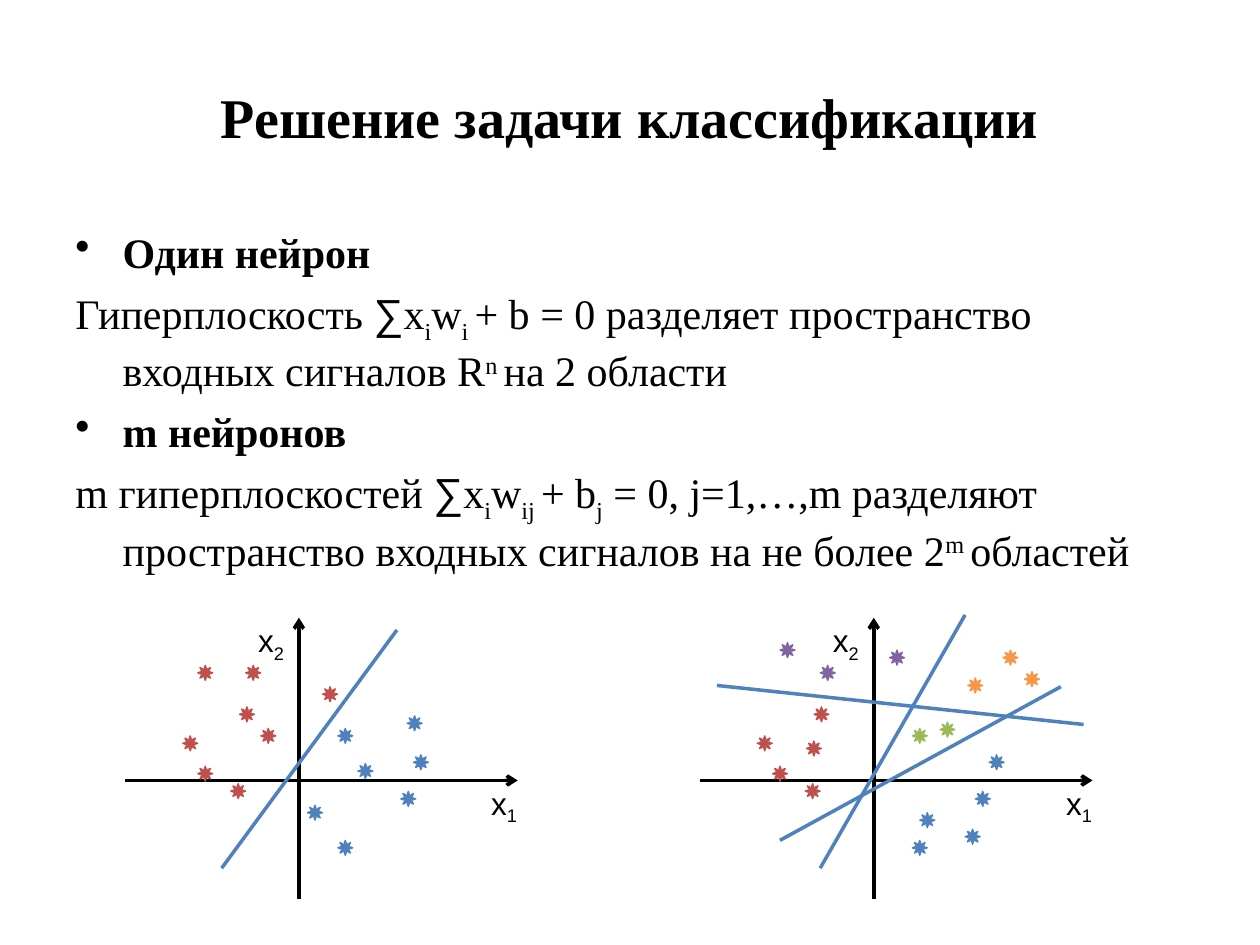
from dataclasses import dataclass

from lxml.etree import SubElement as Sub
from pptx import Presentation
from pptx.dml.color import RGBColor as Rgb
from pptx.enum.shapes import MSO_CONNECTOR as Link, MSO_SHAPE as Form
from pptx.enum.text import MSO_ANCHOR as Anchor, PP_ALIGN as Align
from pptx.oxml.ns import qn
from pptx.util import Pt


@dataclass(frozen=True)
class Theme:
    """Colours, fonts and type sizes."""
    ink: str = "000000"
    red: str = "C0504D"
    blue: str = "4F81BD"
    green: str = "9BBB59"
    violet: str = "8064A2"
    orange: str = "F79646"
    serif: str = "Times New Roman"
    sans: str = "Arial"
    title: int = 32
    body: int = 24
    label: int = 18


T = Theme()
SUB, SUP = -25000, 30000
STAR = 8.6
BASE = 446

BODY = [
    [("Один нейрон", 0)],
    [("Гиперплоскость ", 0), ("∑", 0), ("x", 0), ("i", SUB), ("w", 0),
     ("i ", SUB), ("+ b = 0 разделяет пространство входных сигналов R", 0),
     ("n ", SUP), ("на 2 области", 0)],
    [("m нейронов", 0)],
    [("m гиперплоскостей ", 0), ("∑", 0), ("x", 0), ("i", SUB), ("w", 0),
     ("ij ", SUB), ("+ b", 0), ("j", SUB),
     (" = 0, j=1,…,m разделяют пространство входных сигналов "
      "на не более 2", 0), ("m ", SUP), ("областей", 0)],
]

ONE = {
    T.red: [(-57.8, -65.8), (-57.8, -8.2), (-30.4, -65.8), (-66.4, -25.5),
            (-39, 1.8), (13.5, -53.6), (-34, -42.1), (-21.8, -29.8)],
    T.blue: [(22.2, -29.8), (33.7, -9.7), (65.4, -14.7), (58.2, 6.2),
             (4.9, 14.1), (61.8, -37), (22.2, 34.2)],
}
MANY = {
    T.violet: [(-53.6, -78.8), (-30.6, -65.8), (9, -74.5)],
    T.red: [(-57.9, -8.2), (-66.6, -25.5), (-39.2, 1.8), (-34.2, -42.1),
            (-38.5, -22.6)],
    T.blue: [(52.2, 27.8), (65.9, -14.7), (58, 6.2), (26.3, 18.4),
             (22, 34.2)],
    T.orange: [(73.8, -74.5), (86.1, -62.2), (53.7, -58.6)],
    T.green: [(22, -29.8), (37.8, -33.4)],
}
CUT = [((56, -86), (-44.1, 50.1))]
CUTS = [((52.2, -94.6), (-30.6, 50.1)), ((119.9, -32), (-89.6, -54.3)),
        ((106.9, -53.6), (-53.6, 34.2))]


def style(font, size, face, bold=False):
    """Set the look of black text."""
    font.size, font.name, font.bold = Pt(size), face, bold
    font.color.rgb = Rgb.from_string(T.ink)


def write(para, parts, size, face, bold=False):
    """Fill a paragraph with runs, some raised or lowered."""
    for text, shift in parts:
        run = para.add_run()
        run.text = text
        style(run.font, size, T.sans if text == "∑" else face, bold)
        if shift:
            run._r.get_or_add_rPr().set("baseline", str(shift))


def add_box(shapes, left, top, width, height, wrap=True):
    """Add a text box and return its frame."""
    box = shapes.add_textbox(Pt(left), Pt(top), Pt(width), Pt(height))
    box.text_frame.word_wrap = wrap
    return box.text_frame


def add_title(shapes):
    """Add the centred heading."""
    frame = add_box(shapes, 36, 21.6, 648, 90)
    frame.vertical_anchor = Anchor.MIDDLE
    para = frame.paragraphs[0]
    para.text = "Решение задачи классификации"
    para.alignment = Align.CENTER
    style(para.runs[0].font, T.title, T.serif, True)


def add_body(shapes):
    """Add the bulleted heads, each with its statement."""
    frame = add_box(shapes, 36, 126, 648, 219)
    for num, parts in enumerate(BODY):
        para = frame.add_paragraph() if num else frame.paragraphs[0]
        head = num % 2 == 0
        props = para._p.get_or_add_pPr()
        props.set("marL", str(Pt(27)))
        props.set("indent", str(Pt(-27)))
        if head:
            Sub(props, qn("a:buChar"), char="•")
        if num:
            para.space_before = Pt(6)
        write(para, parts, T.body, T.serif, head)


def add_line(shapes, start, end, tint, arrow=False):
    """Add a straight line, with an arrowhead at its end if asked."""
    ends = [Pt(val) for val in (*start, *end)]
    line = shapes.add_connector(Link.STRAIGHT, *ends)
    line.line.width = Pt(2)
    line.line.color.rgb = Rgb.from_string(tint)
    if arrow:
        Sub(line.line._get_or_add_ln(), qn("a:tailEnd"), type="arrow")
    Sub(line._element.spPr, qn("a:effectLst"))


def add_star(shapes, left, top, tint):
    """Add one data point."""
    star = shapes.add_shape(Form.SUN, Pt(left), Pt(top), Pt(STAR), Pt(STAR))
    star.shadow.inherit = False
    star.fill.solid()
    star.fill.fore_color.rgb = Rgb.from_string(tint)
    star.line.color.rgb = Rgb.from_string(tint)
    star.line.width = Pt(0.75)


def add_plot(slide, left, stars, cuts):
    """Add axes, labels, points and dividing lines around an origin."""
    shapes = slide.shapes.add_group_shape().shapes

    def place(spot):
        """Shift a spot from the origin to the slide."""
        return left + spot[0], BASE + spot[1]

    for start, end in [((0, 68), (0, -93)), ((-99.5, 0), (125, 0))]:
        add_line(shapes, place(start), place(end), T.ink, True)
    for mark, spot in [("1", (102.8, -1.8)), ("2", (-30.4, -94.6))]:
        frame = add_box(shapes, *place(spot), 44, 32)
        write(frame.paragraphs[0], [("x", 0), (mark, SUB)], T.label, T.sans)
    for tint, spots in stars.items():
        for spot in spots:
            add_star(shapes, *place(spot), tint)
    for start, end in cuts:
        add_line(shapes, place(start), place(end), T.blue)


def main():
    """Build and save the slide."""
    deck = Presentation()
    deck.slide_width, deck.slide_height = Pt(720), Pt(540)
    slide = deck.slides.add_slide(deck.slide_layouts[6])
    add_title(slide.shapes)
    add_body(slide.shapes)
    add_plot(slide, 170.8, ONE, CUT)
    add_plot(slide, 499.3, MANY, CUTS)
    deck.save("out.pptx")


if __name__ == "__main__":
    main()
